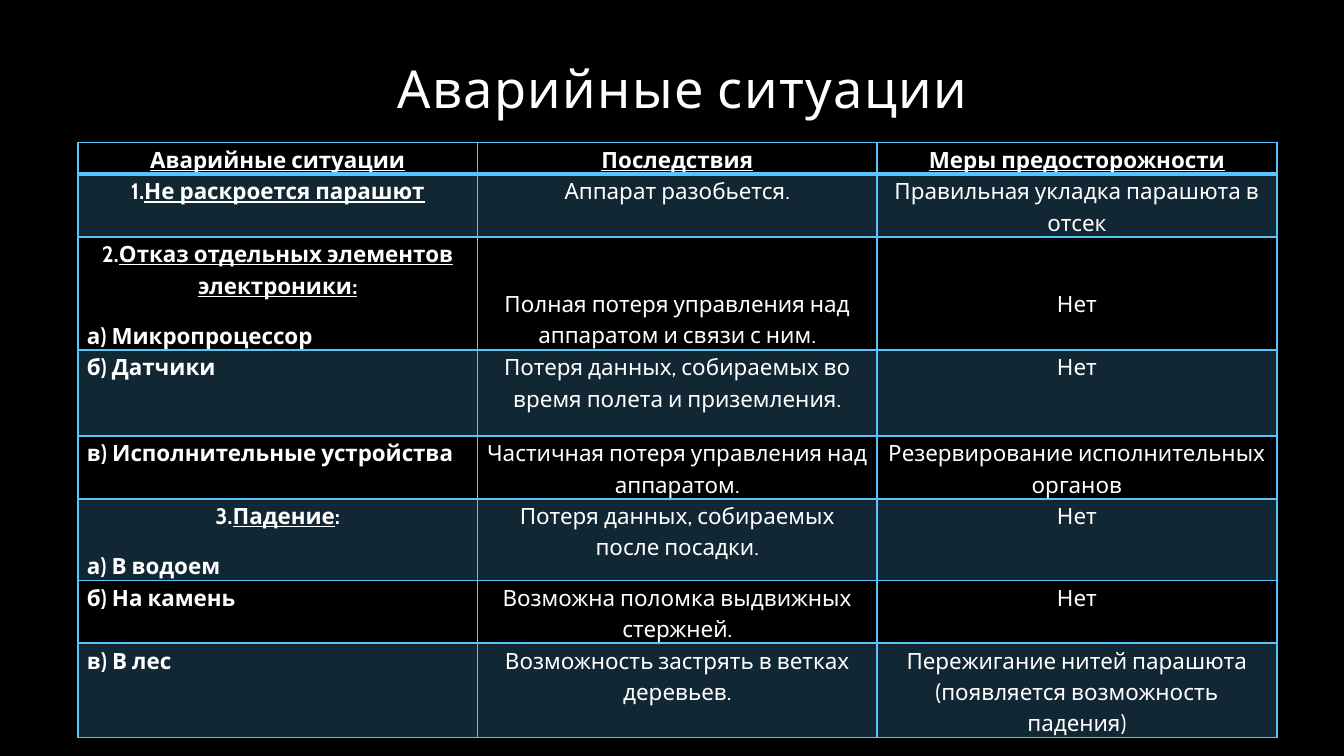
"""Builds a slide with a table of emergency situations and precautions."""
from lxml.etree import SubElement
from pptx import Presentation
from pptx.dml.color import RGBColor
from pptx.enum.text import MSO_ANCHOR as Anchor, PP_ALIGN as Align
from pptx.oxml.ns import qn
from pptx.util import Inches, Pt

BLACK = RGBColor(0x00, 0x00, 0x00)
WHITE = RGBColor(0xFF, 0xFF, 0xFF)
SKY = RGBColor(0x56, 0xC5, 0xFF)
FONT = "Cabin"
BAND_OPACITY = 20
TABLE_WIDTH = 8.92
ROW_HEIGHTS = [0.23, 0.42, 0.8, 0.64, 0.42, 0.58, 0.42, 0.64]
SECOND_LINE_TOP = 0.37
HEADINGS = ["Аварийные ситуации", "Последствия", "Меры предосторожности"]

SITUATIONS = [
    (("1.", "Не раскроется парашют", ""), "",
     "Аппарат разобьется.", "Правильная укладка парашюта в отсек"),
    (("2.", "Отказ отдельных элементов электроники:", ""), "а) Микропроцессор",
     "Полная потеря управления над аппаратом и связи с ним.", "Нет"),
    (None, "б) Датчики",
     "Потеря данных, собираемых во время полета и приземления.", "Нет"),
    (None, "в) Исполнительные устройства",
     "Частичная потеря управления над аппаратом.", "Резервирование исполнительных органов"),
    (("3.", "Падение", ":"), "а) В водоем",
     "Потеря данных, собираемых после посадки.", "Нет"),
    (None, "б) На камень",
     "Возможна поломка выдвижных стержней.", "Нет"),
    (None, "в) В лес",
     "Возможность застрять в ветках деревьев.",
     "Пережигание нитей парашюта (появляется возможность падения)"),
]


def add_run(paragraph, text, size=12, bold=False, underline=False):
    """Add one white run to a paragraph."""
    run = paragraph.add_run()
    run.text = text
    font = run.font
    font.name, font.size = FONT, Pt(size)
    font.bold, font.underline = bold, underline
    font.color.rgb = WHITE
    return run


def add_line(frame, pieces, align=Align.CENTER, bold=False):
    """Add a paragraph of (text, underline) pieces to a cell."""
    first = frame.paragraphs[0]
    paragraph = frame.add_paragraph() if first.runs else first
    paragraph.alignment = align
    paragraph.line_spacing = 1.15
    paragraph.space_after = Pt(10)
    for text, underline in pieces:
        add_run(paragraph, text, bold=bold, underline=underline)


def add_border(cell, side, width):
    """Draw one border of a cell."""
    properties = cell._tc.get_or_add_tcPr()
    border = SubElement(properties, qn(f"a:ln{side}"), w=str(Pt(width)))
    fill = SubElement(border, qn("a:solidFill"))
    SubElement(fill, qn("a:srgbClr"), val=str(SKY))


def format_cell(cell, row):
    """Set the margins, borders and band fill of a cell."""
    cell.margin_left = cell.margin_right = Pt(4.8)
    cell.margin_top = cell.margin_bottom = 0
    cell.vertical_anchor = Anchor.TOP
    widths = {"L": 1, "R": 1, "T": 2 if row == 1 else 1, "B": 2 if row == 0 else 1}
    for side, width in widths.items():
        add_border(cell, side, width)
    if row % 2:
        cell.fill.solid()
        cell.fill.fore_color.rgb = SKY
        color = cell._tc.tcPr.find(qn("a:solidFill")).find(qn("a:srgbClr"))
        SubElement(color, qn("a:alpha"), val=str(BAND_OPACITY * 1000))
    else:
        cell.fill.background()


def fill_situation(cells, group, case, consequence, precaution):
    """Write one situation with its consequence and precaution."""
    situation = cells[0].text_frame
    if group:
        number, name, ending = group
        pieces = [(number, False), (name, True), (ending, False)]
        add_line(situation, [piece for piece in pieces if piece[0]], bold=True)
    if case:
        add_line(situation, [(case, False)], Align.LEFT, bold=True)
    for cell, text in zip(cells[1:], (consequence, precaution)):
        add_line(cell.text_frame, [(text, False)])


def add_situation_table(slide):
    """Add the table of situations, consequences and precautions."""
    columns = len(HEADINGS)
    table = slide.shapes.add_table(
        len(ROW_HEIGHTS), columns, Inches(0.58), Inches(1.06),
        Inches(TABLE_WIDTH), Inches(sum(ROW_HEIGHTS))).table
    table.horz_banding = False
    for column in table.columns:
        column.width = Inches(TABLE_WIDTH / columns)
    for index, height in enumerate(ROW_HEIGHTS):
        table.rows[index].height = Inches(height)
        for cell in table.rows[index].cells:
            format_cell(cell, index)
    for cell, heading in zip(table.rows[0].cells, HEADINGS):
        add_line(cell.text_frame, [(heading, True)], bold=True)
    for index, situation in enumerate(SITUATIONS, start=1):
        fill_situation(list(table.rows[index].cells), *situation)
    for column in (1, 2):
        table.cell(2, column).margin_top = Inches(SECOND_LINE_TOP)


def add_title(slide, text):
    """Place and format the slide title."""
    title = slide.shapes.title
    title.left, title.top = Inches(1.33), Inches(-0.19)
    title.width, title.height = Inches(7.5), Inches(1.12)
    frame = title.text_frame
    frame.word_wrap = True
    frame.vertical_anchor = Anchor.BOTTOM
    frame.margin_left = frame.margin_right = Inches(0.07)
    frame.margin_top = frame.margin_bottom = Inches(0.04)
    paragraph = frame.paragraphs[0]
    paragraph.alignment = Align.CENTER
    paragraph.line_spacing = 0.9
    run = add_run(paragraph, text, size=28)
    run.font._element.set("spc", "75")


def main():
    """Build and save the slide."""
    presentation = Presentation()
    presentation.slide_width = Inches(10)
    presentation.slide_height = presentation.slide_width * 9 // 16
    slide = presentation.slides.add_slide(presentation.slide_layouts[5])
    slide.background.fill.solid()
    slide.background.fill.fore_color.rgb = BLACK
    add_title(slide, "Аварийные ситуации")
    add_situation_table(slide)
    presentation.save("out.pptx")


if __name__ == "__main__":
    main()
